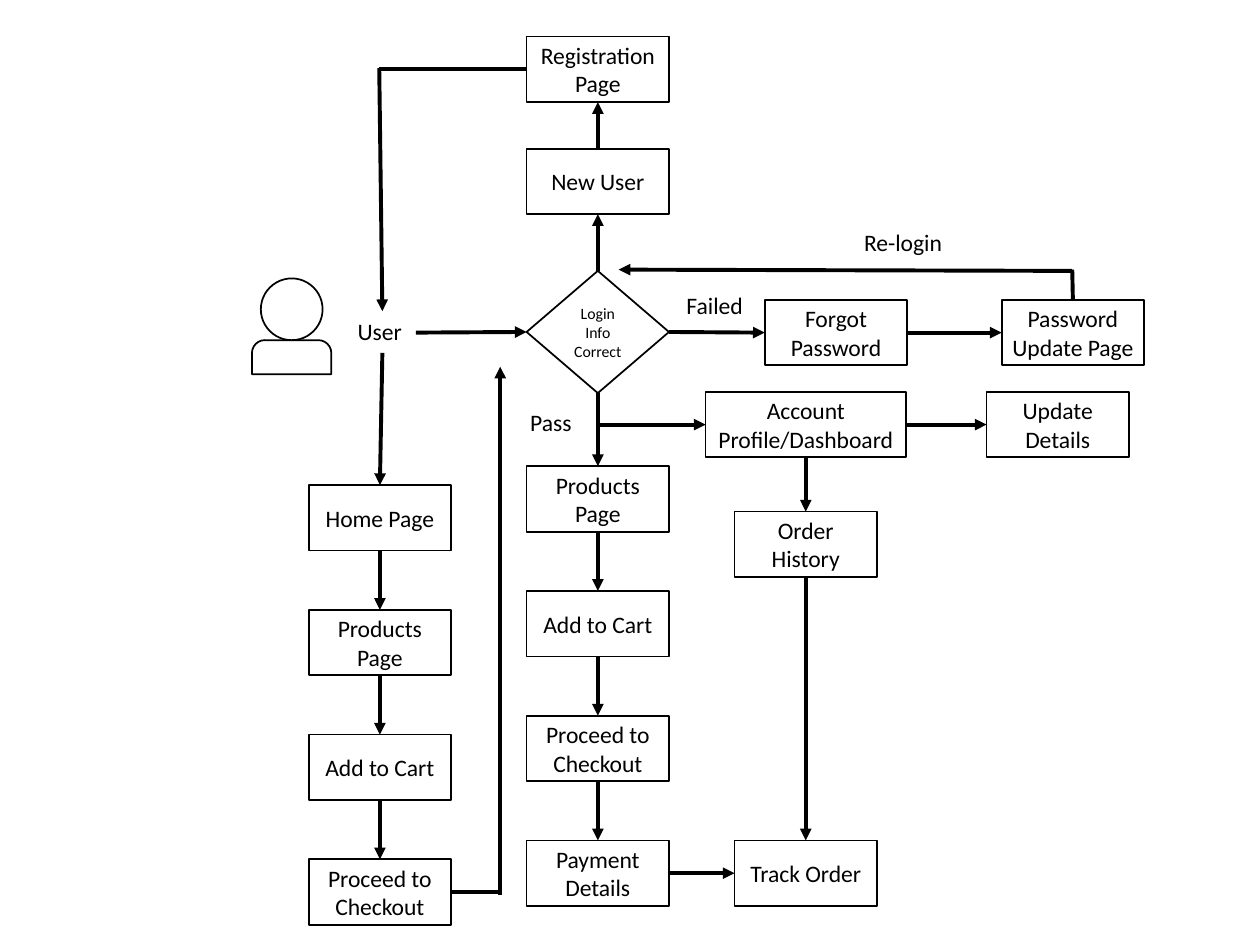
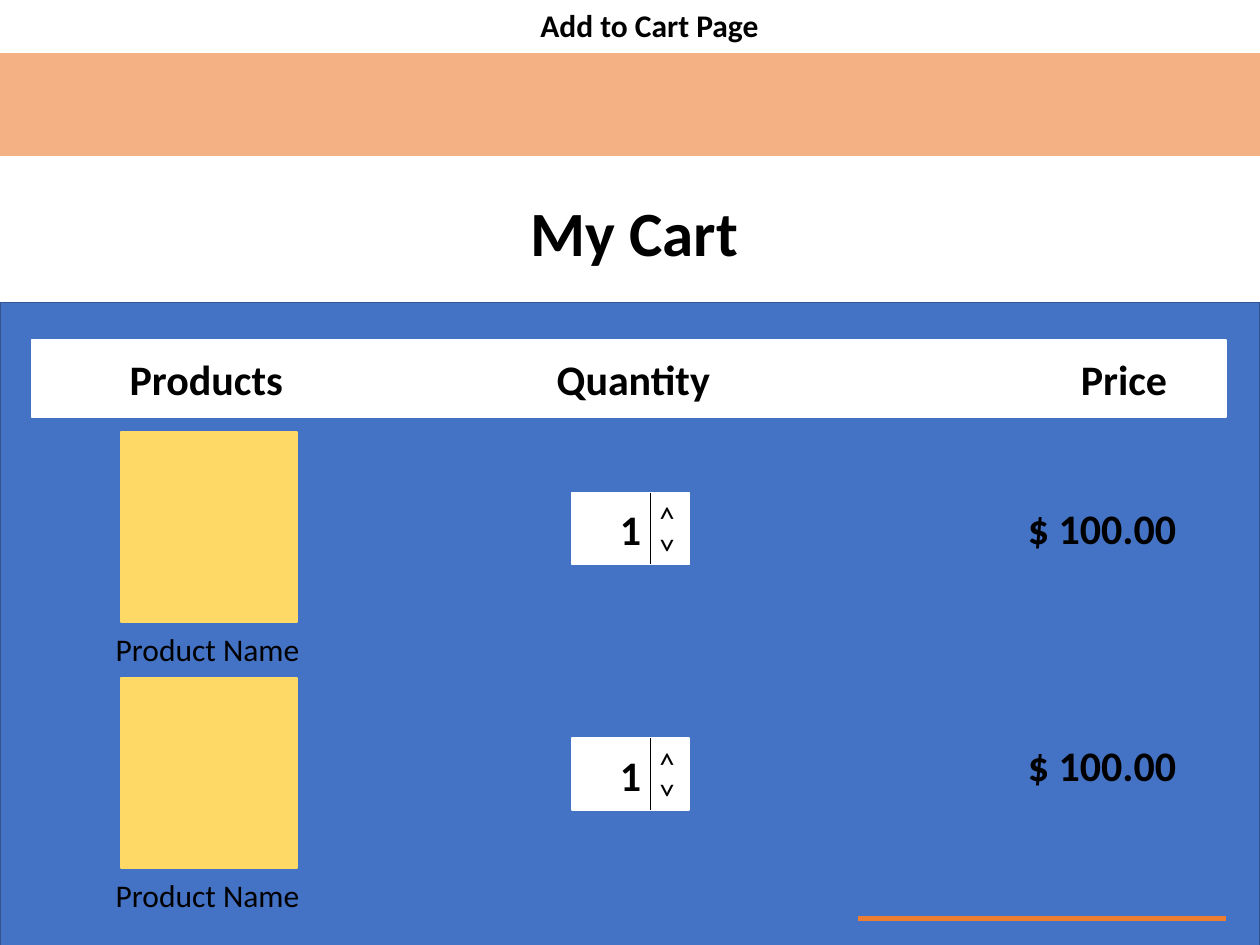
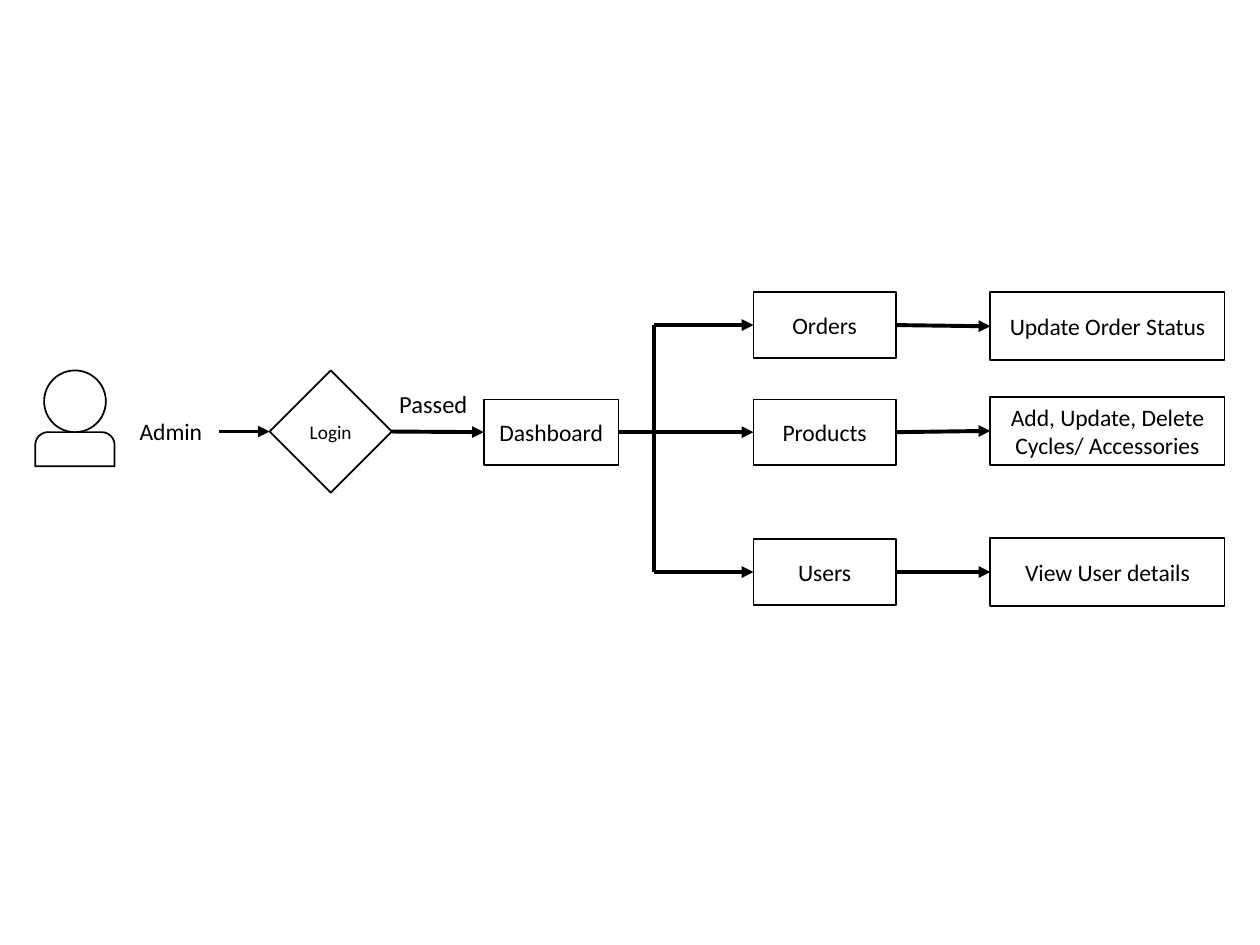
from lxml import etree
from pptx import Presentation
from pptx.dml.color import RGBColor
from pptx.enum.shapes import MSO_CONNECTOR, MSO_SHAPE
from pptx.enum.text import MSO_ANCHOR, MSO_AUTO_SIZE, PP_ALIGN
from pptx.oxml.ns import qn
from pptx.util import Inches, Pt

BLACK = RGBColor(0x00, 0x00, 0x00)
WHITE = RGBColor(0xFF, 0xFF, 0xFF)
PEACH = RGBColor(0xF4, 0xB1, 0x83)
BLUE = RGBColor(0x44, 0x72, 0xC4)
NAVY = RGBColor(0x32, 0x54, 0x91)
YELLOW = RGBColor(0xFF, 0xD9, 0x66)
ORANGE = RGBColor(0xED, 0x7D, 0x31)

RECTANGLE = MSO_SHAPE.RECTANGLE
DIAMOND = MSO_SHAPE.DIAMOND
OVAL = MSO_SHAPE.OVAL
SHOULDERS = MSO_SHAPE.ROUND_2_SAME_RECTANGLE
STRAIGHT = MSO_CONNECTOR.STRAIGHT
MIDDLE = MSO_ANCHOR.MIDDLE
CENTER, LEFT_ALIGN = PP_ALIGN.CENTER, PP_ALIGN.LEFT
GROW, FIXED = MSO_AUTO_SIZE.SHAPE_TO_FIT_TEXT, MSO_AUTO_SIZE.NONE

TOP, LEFT, BOTTOM, RIGHT = range(4)
FONT = "Calibri"
STEP_WIDTH, STEP_HEIGHT, STEP_PITCH = 1.13, 0.52, 0.99
TITLE_ONLY, BLANK = 5, 6


def write(frame, text, size, bold=False, align=LEFT_ALIGN, tabs=()):
    """Put one paragraph into a frame, with tab stops given in inches."""
    frame.text = text
    para = frame.paragraphs[0]
    para.alignment = align
    if tabs:
        tab_list = etree.SubElement(para._p.get_or_add_pPr(), qn("a:tabLst"))
        for position in tabs:
            etree.SubElement(tab_list, qn("a:tab"), pos=str(Inches(position)), algn="l")
    para.font.name = FONT
    para.font.size = Pt(size)
    para.font.bold = bold
    para.font.color.rgb = BLACK


def add_box(page, kind, left, top, width, height, fill=WHITE, outline=BLACK):
    box = page.shapes.add_shape(kind, Inches(left), Inches(top), Inches(width), Inches(height))
    box.shadow.inherit = False
    box.fill.solid()
    box.fill.fore_color.rgb = fill
    box.line.color.rgb = outline
    box.line.width = Pt(1)
    box.text_frame.vertical_anchor = MIDDLE
    return box


def add_step(page, text, left, top, width=STEP_WIDTH, height=STEP_HEIGHT,
             kind=RECTANGLE, size=13.5):
    step = add_box(page, kind, left, top, width, height)
    frame = step.text_frame
    frame.margin_left = frame.margin_right = Inches(0.07)
    frame.margin_top = frame.margin_bottom = Inches(0.04)
    write(frame, text, size, align=CENTER)
    return step


def add_label(page, text, left, top, width, height, size=13.5, bold=False, wrap=False, tabs=()):
    label = page.shapes.add_textbox(Inches(left), Inches(top), Inches(width), Inches(height))
    label.text_frame.word_wrap = wrap
    label.text_frame.auto_size = GROW
    write(label.text_frame, text, size, bold, tabs=tabs)
    return label


def add_line(page, x1, y1, x2, y2, arrow=False, color=BLACK, weight=2.25):
    line = page.shapes.add_connector(STRAIGHT, Inches(x1), Inches(y1), Inches(x2), Inches(y2))
    line.line.color.rgb = color
    line.line.width = Pt(weight)
    if arrow:
        etree.SubElement(line.line._get_or_add_ln(), qn("a:tailEnd"), type="triangle")
    etree.SubElement(line._element.spPr, qn("a:effectLst"))
    return line


def join(page, start, start_side, end, end_side):
    """Draw an arrow between the side middles of two shapes."""
    arrow = add_line(page, 0, 0, 0, 0, arrow=True)
    arrow.begin_connect(start, start_side)
    arrow.end_connect(end, end_side)


def add_person(page, left, top):
    add_box(page, SHOULDERS, left, top + 0.49, 0.63, 0.27).adjustments[0] = 0.38
    add_box(page, OVAL, left + 0.07, top, 0.49, 0.49)


def add_step_column(page, names, left, top):
    """Stack steps at an equal pitch, joined downwards."""
    steps = [add_step(page, name, left, top + row * STEP_PITCH)
             for row, name in enumerate(names)]
    for upper, lower in zip(steps, steps[1:]):
        join(page, upper, BOTTOM, lower, TOP)
    return steps


def add_guest_column(page, user, left, top):
    steps = add_step_column(
        page, ["Home Page", "Products Page", "Add to Cart", "Proceed to Checkout"], left, top)
    join(page, user, BOTTOM, steps[0], TOP)
    turn_x, turn_y = left + 1.52, top + 3.23
    add_line(page, left + STEP_WIDTH, turn_y, turn_x, turn_y).begin_connect(steps[-1], RIGHT)
    add_line(page, turn_x, turn_y + 0.02, turn_x, top - 0.94, arrow=True)


def add_registration(page, login, user, left, top):
    registration = add_step(page, "Registration Page", left, top)
    new_user = add_step(page, "New User", left, top + 0.89)
    join(page, login, TOP, new_user, BOTTOM)
    join(page, new_user, TOP, registration, BOTTOM)
    turn_x, turn_y = left - 1.17, top + 0.26
    add_line(page, left, turn_y, turn_x, turn_y).begin_connect(registration, LEFT)
    add_line(page, turn_x, turn_y - 0.01, 3.03, 2.47, arrow=True).end_connect(user, TOP)


def add_password_branch(page, login, left, top):
    forgot = add_step(page, "Forgot Password", left, top)
    update = add_step(page, "Password Update Page", left + 1.88, top)
    join(page, login, RIGHT, forgot, LEFT)
    join(page, forgot, RIGHT, update, LEFT)
    add_label(page, "Failed", left - 0.72, top - 0.12, 0.66, 0.33)
    add_label(page, "Re-login", left + 0.69, top - 0.62, 1.09, 0.33, wrap=True)
    turn_x, turn_y = left + 2.44, top - 0.23
    add_line(page, turn_x, top, turn_x, turn_y - 0.01).begin_connect(update, TOP)
    add_line(page, turn_x, turn_y, left - 1.16, turn_y - 0.01, arrow=True)


def add_account_branch(page, payment, left, top):
    account = add_step(page, "Account Profile/Dashboard", left, top, width=1.59)
    details = add_step(page, "Update Details", left + 2.23, top)
    history = add_step(page, "Order History", left + 0.23, top + 0.95)
    track = add_step(page, "Track Order", left + 0.23, top + 3.56)
    join(page, account, RIGHT, details, LEFT)
    join(page, account, BOTTOM, history, TOP)
    join(page, history, BOTTOM, track, TOP)
    join(page, payment, RIGHT, track, LEFT)
    middle = top + STEP_HEIGHT / 2
    add_line(page, left - 0.85, middle, left, middle, arrow=True).end_connect(account, LEFT)


def build_user_flow(deck):
    page = deck.slides.add_slide(deck.slide_layouts[BLANK])
    add_person(page, 2, 2.21)
    user = add_label(page, "User", 2.74, 2.47, 0.59, 0.33, wrap=True)
    login = add_step(page, "Login Info Correct", 4.18, 2.15, height=0.97, kind=DIAMOND, size=9)
    add_line(page, 3.3, 2.64, 4.18, 2.64, arrow=True).end_connect(login, LEFT)
    add_guest_column(page, user, 2.45, 3.85)
    add_registration(page, login, user, 4.18, 0.29)
    add_password_branch(page, login, 6.07, 2.38)
    purchase = add_step_column(
        page, ["Products Page", "Add to Cart", "Proceed to Checkout", "Payment Details"],
        4.18, 3.7)
    join(page, login, BOTTOM, purchase[0], TOP)
    add_label(page, "Pass", 4.11, 3.19, 0.53, 0.33)
    add_account_branch(page, purchase[-1], 5.6, 3.11)


def add_cart_row(page, top, price_offset):
    add_box(page, RECTANGLE, 0.96, top, 1.4, 1.51, YELLOW, YELLOW)
    add_label(page, "Product Name", 0.82, top + 1.52, 1.68, 0.4, size=18)
    quantity = add_box(page, RECTANGLE, 4.54, top + 0.48, 0.93, 0.57, outline=WHITE)
    write(quantity.text_frame, "1", 24, bold=True, align=CENTER)
    add_line(page, 5.16, top + 0.48, 5.16, top + 1.05, weight=0.5)
    spinner = add_label(page, "<\t>", 5.03, top + 0.58, 0.57, 0.4, size=18, wrap=True,
                        tabs=[0.24])
    spinner.text_frame.margin_right = 0
    spinner.rotation = 90
    add_label(page, "$ 100.00", 8.06, top + price_offset, 1.39, 0.5, size=24, bold=True)


def build_cart_page(deck):
    page = deck.slides.add_slide(deck.slide_layouts[TITLE_ONLY])
    title = page.shapes.title
    title.left, title.top, title.width, title.height = map(Inches, (4.1, 1.48, 1.87, 0.71))
    title.text_frame.word_wrap = False
    title.text_frame.auto_size = FIXED
    write(title.text_frame, "My Cart", 36, bold=True, align=CENTER)

    add_label(page, "Add to Cart Page", 4.19, 0, 1.95, 0.4, size=18, bold=True)
    add_box(page, RECTANGLE, 0, 0.43, 10, 0.8, PEACH, PEACH)
    add_box(page, RECTANGLE, 0, 2.4, 10, 7.08, BLUE, NAVY)
    header = add_box(page, RECTANGLE, 0.25, 2.7, 9.48, 0.61, outline=WHITE)
    write(header.text_frame, "\tProducts\tQuantity\tPrice", 24, bold=True,
          tabs=[0.68, 4.07, 8.23])
    add_cart_row(page, 3.43, price_offset=0.51)
    add_cart_row(page, 5.38, price_offset=0.44)
    add_line(page, 6.81, 7.29, 9.73, 7.29, color=ORANGE, weight=3)


def add_admin_branch(page, name, action, left, top, action_top):
    """Place an area, its action to the right and the arrow from the trunk."""
    area = add_step(page, name, left, top)
    task = add_step(page, action, left + 1.88, action_top, width=1.86, height=0.54)
    middle = top + STEP_HEIGHT / 2
    add_line(page, left - 0.79, middle, left, middle, arrow=True).end_connect(area, LEFT)
    join(page, area, RIGHT, task, LEFT)


def build_admin_flow(deck):
    page = deck.slides.add_slide(deck.slide_layouts[BLANK])
    add_person(page, 0.28, 2.94)
    admin = add_label(page, "Admin", 1.01, 3.26, 0.73, 0.33, wrap=True)
    login = add_step(page, "Login", 2.14, 2.94, 0.97, 0.97, kind=DIAMOND, size=11)
    dashboard = add_step(page, "Dashboard", 3.84, 3.17, width=1.07)
    add_label(page, "Passed", 3.07, 3.04, 0.76, 0.34, size=14, wrap=True)
    join(page, admin, RIGHT, login, LEFT)
    join(page, login, RIGHT, dashboard, LEFT)
    add_line(page, 4.91, 3.43, 5.19, 3.43).begin_connect(dashboard, RIGHT)
    add_line(page, 5.19, 2.58, 5.19, 4.54)
    for name, action, top, action_top in [
        ("Orders", "Update Order Status", 2.32, 2.32),
        ("Products", "Add, Update, Delete Cycles/ Accessories", 3.17, 3.15),
        ("Users", "View User details", 4.28, 4.27),
    ]:
        add_admin_branch(page, name, action, 5.98, top, action_top)


def main():
    deck = Presentation()
    deck.slide_width, deck.slide_height = Inches(10), Inches(7.5)
    build_user_flow(deck)
    build_cart_page(deck)
    build_admin_flow(deck)
    deck.save("out.pptx")


if __name__ == "__main__":
    main()
